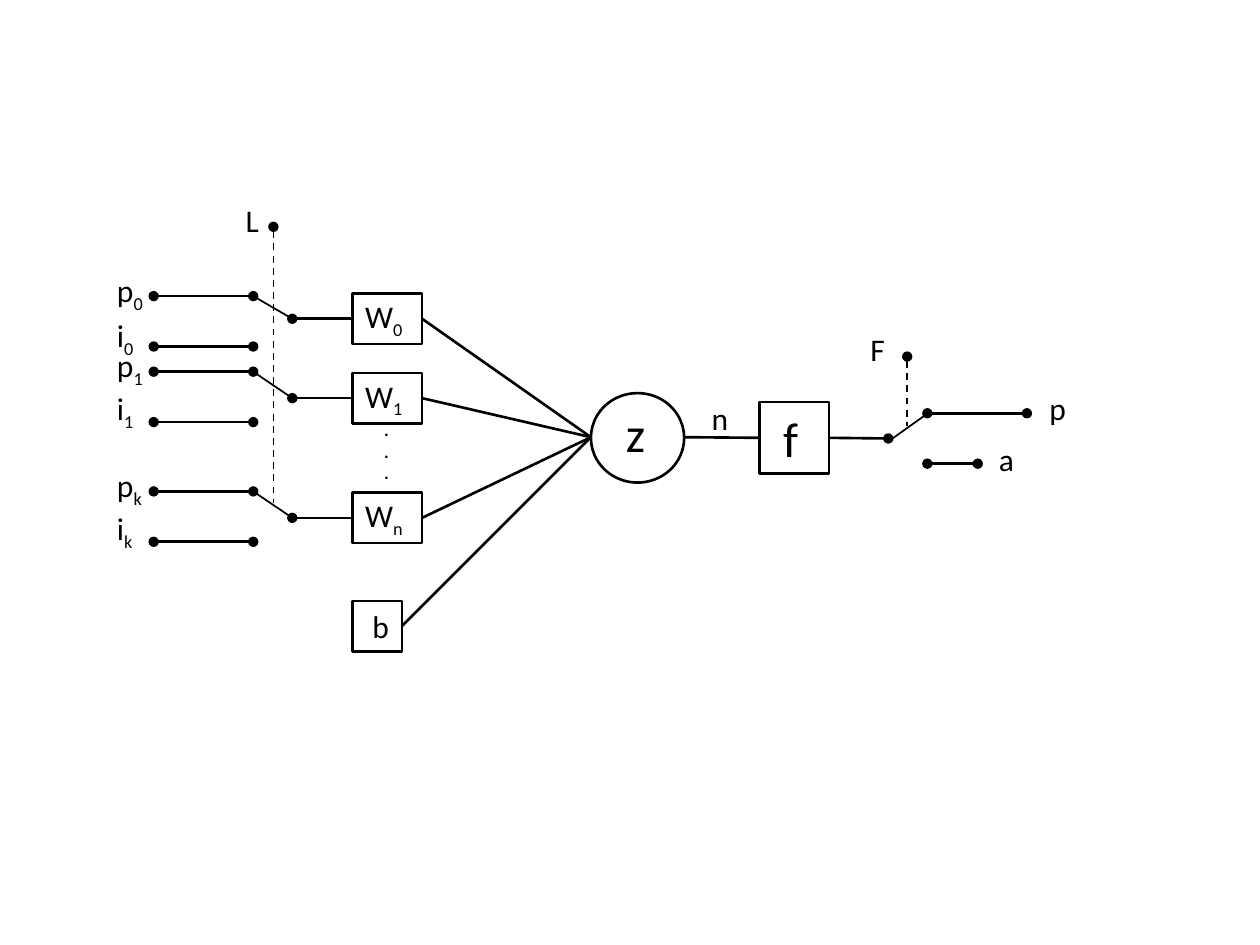
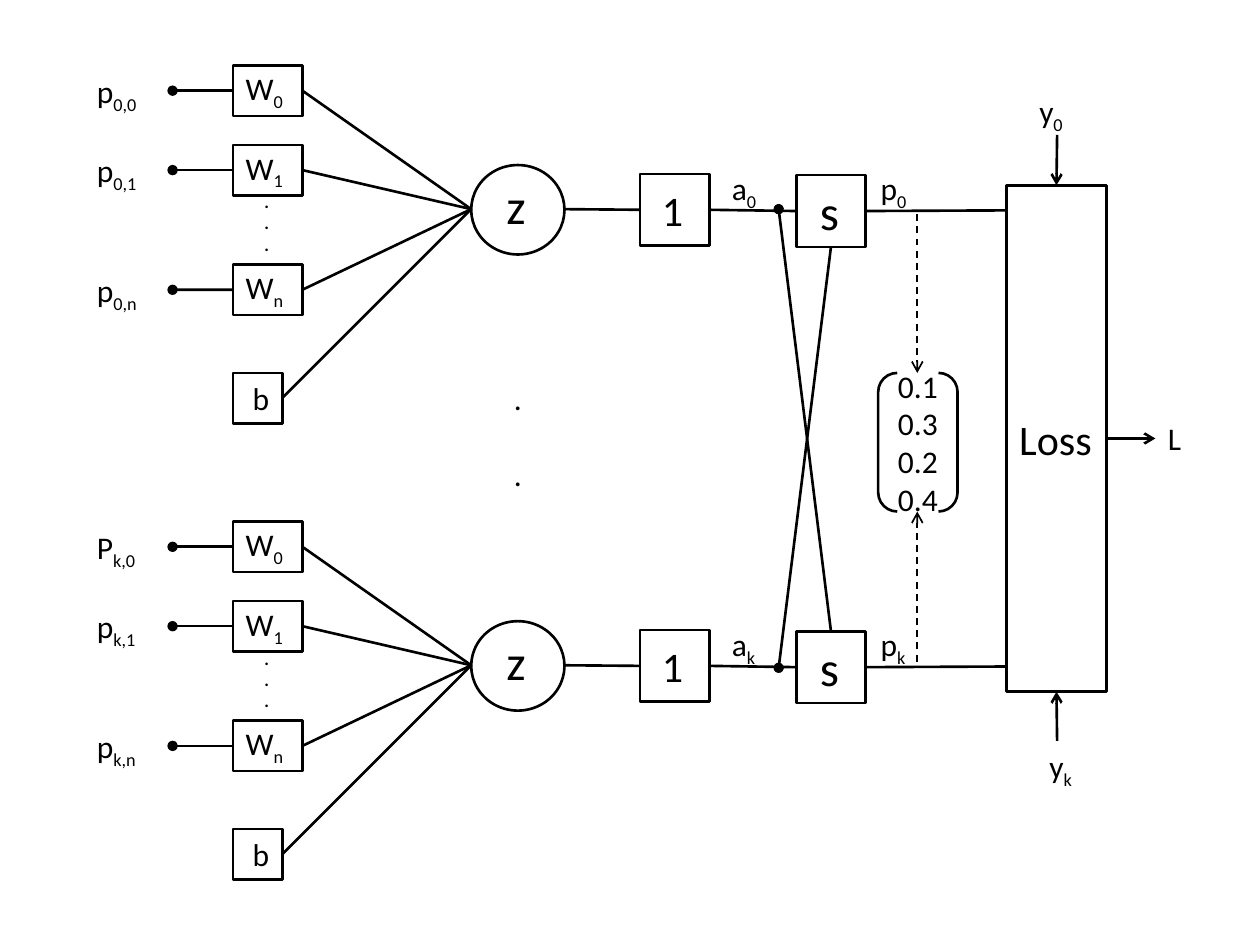
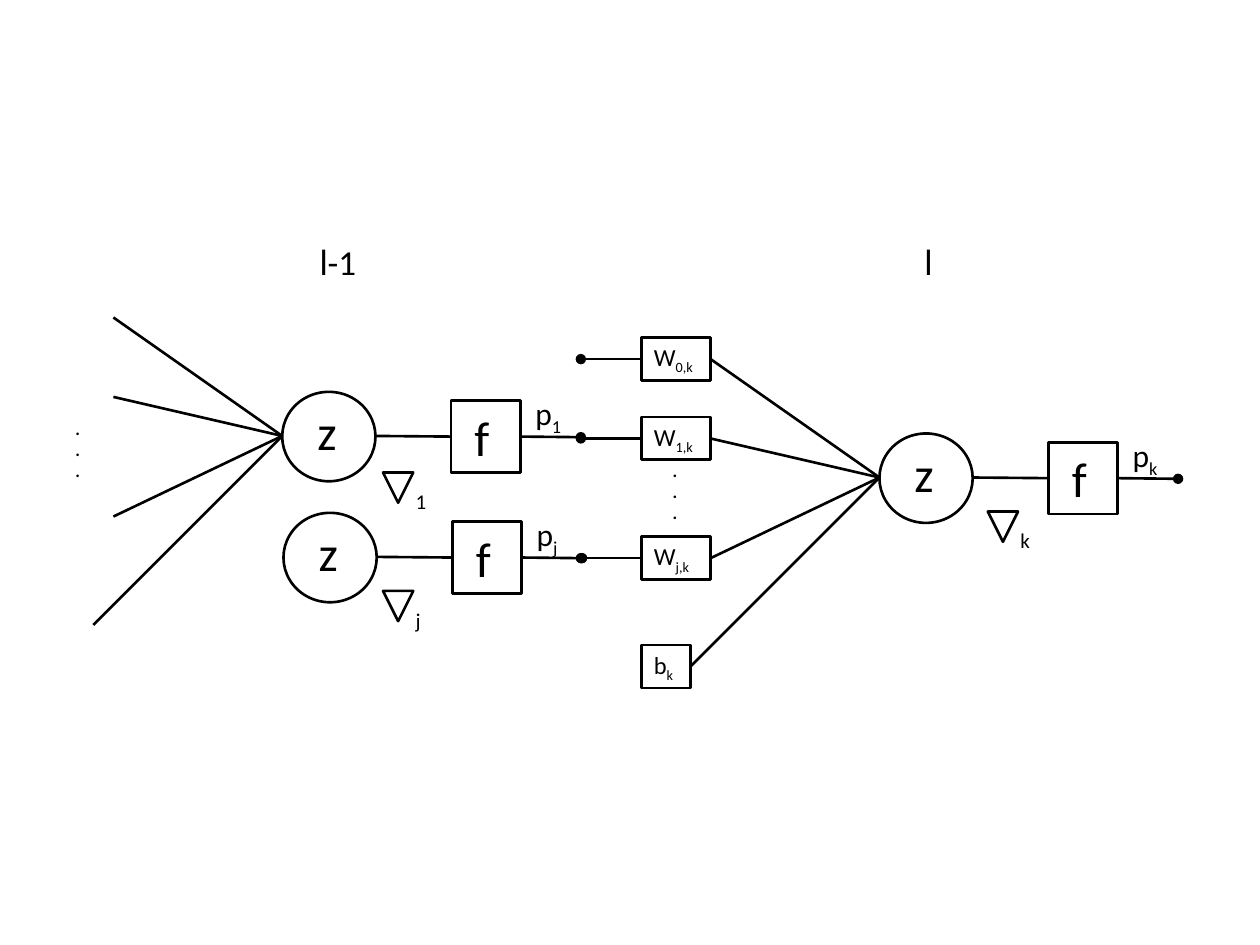
import pptx
import pptx.dml.color
import pptx.enum.dml
import pptx.enum.shapes
import pptx.enum.text
import pptx.oxml.ns
import pptx.shapes.autoshape
import pptx.slide
import pptx.util
import lxml.etree
from dataclasses import dataclass
from typing import Any, NamedTuple, Union

Inches = pptx.util.Inches
Slide = pptx.slide.Slide
Shape = pptx.shapes.autoshape.Shape
KIND = pptx.enum.shapes.MSO_SHAPE
ANCHOR = pptx.enum.text.MSO_ANCHOR

BLACK = pptx.dml.color.RGBColor(0x00, 0x00, 0x00)
FACE = "Calibri"
THIN, THICK = 1, 1.5
TOP, LEFT, BOTTOM, RIGHT = range(4)
BOX_W, BOX_H = 0.55, 0.57
# Label height for each text size
HIGH = {10: 0.61, 12: 0.3, 18: 0.4, 20: 0.44, 28: 0.57}
LABEL = {"word_wrap": False, "vertical_anchor": ANCHOR.TOP,
         "auto_size": pptx.enum.text.MSO_AUTO_SIZE.SHAPE_TO_FIT_TEXT}
INSIDE = {"word_wrap": True, "vertical_anchor": ANCHOR.MIDDLE}


class Point(NamedTuple):
    x: float
    y: float


class Joint(NamedTuple):
    shape: Shape
    side: int


End = Union[Point, Joint]


class Label(NamedTuple):
    text: str
    x: float
    y: float
    wide: float
    size: int = 18
    font: str = FACE


@dataclass
class Node:
    """A summing circle with its fan of inputs and the box after it."""
    x: float
    y: float
    act: str = " f"
    act_size: int = 28
    weights: tuple[str, ...] = ()
    bias: str = " b"
    size: int = 18
    box_h: float = 0.4
    fan: bool = True


def apply(target: Any, values: dict[str, Any]) -> None:
    for key, value in values.items():
        setattr(target, key, value)


# Text: an underscore starts a subscript, a line break a paragraph
def put(para: Any, text: str, size: float, font: str = FACE,
        bold: bool = False) -> None:
    for part, piece in enumerate(text.split("_")):
        run = para.add_run()
        run.text = piece
        apply(run.font, {"size": pptx.util.Pt(size), "name": font,
                         "bold": bold or None})
        run.font.color.rgb = BLACK
        if part:
            run._r.get_or_add_rPr().set("baseline", "-25000")


def write(frame: Any, text: str, size: float, style: dict[str, Any],
          font: str = FACE, bold: bool = False,
          align: Any = pptx.enum.text.PP_ALIGN.LEFT) -> None:
    apply(frame, style)
    for row, line in enumerate(text.split("\n")):
        para = frame.add_paragraph() if row else frame.paragraphs[0]
        para.alignment = align
        put(para, line, size, font, bold)


def tag(slide: Slide, item: Label, bold: bool = False) -> Any:
    area = slide.shapes.add_textbox(*map(Inches, (item.x, item.y, item.wide,
                                                  HIGH.get(item.size, 0.4))))
    write(area.text_frame, item.text, item.size, LABEL, item.font, bold)
    return area.text_frame


def dots(slide: Slide, x: float, y: float) -> None:
    tag(slide, Label(".\n.\n.", x, y, 0.24, 10), bold=True)


# Shapes and lines
def form(slide: Slide, kind: Any, x: float, y: float, w: float,
         h: float) -> Shape:
    shape = slide.shapes.add_shape(kind, *map(Inches, (x, y, w, h)))
    shape.shadow.inherit = False
    shape.fill.background()
    shape.line.color.rgb = BLACK
    shape.line.width = pptx.util.Pt(THICK)
    return shape


def box(slide: Slide, text: str, x: float, y: float, w: float = BOX_W,
        h: float = BOX_H, size: float = 28) -> Shape:
    shape = form(slide, KIND.RECTANGLE, x, y, w, h)
    write(shape.text_frame, text, size, INSIDE)
    return shape


def spot(end: End) -> tuple[int, int]:
    if isinstance(end, Point):
        return Inches(end.x), Inches(end.y)
    shape = end.shape
    mid_x, mid_y = shape.left + shape.width // 2, shape.top + shape.height // 2
    return {TOP: (mid_x, shape.top), LEFT: (shape.left, mid_y),
            BOTTOM: (mid_x, shape.top + shape.height),
            RIGHT: (shape.left + shape.width, mid_y)}[end.side]


def wire(slide: Slide, start: End, stop: End, head: str = "", tail: str = "",
         width: float = THICK, dash: bool = False) -> None:
    link = slide.shapes.add_connector(
        pptx.enum.shapes.MSO_CONNECTOR.STRAIGHT, *spot(start), *spot(stop))
    if isinstance(start, Joint):
        link.begin_connect(*start)
    if isinstance(stop, Joint):
        link.end_connect(*stop)
    link.line.color.rgb = BLACK
    link.line.width = pptx.util.Pt(width)
    if dash:
        link.line.dash_style = pptx.enum.dml.MSO_LINE.DASH
    qn = pptx.oxml.ns.qn
    props = link._element.spPr
    for name, kind in (("a:headEnd", head), ("a:tailEnd", tail)):
        if kind:
            lxml.etree.SubElement(props.find(qn("a:ln")), qn(name), type=kind)
    lxml.etree.SubElement(props, qn("a:effectLst"))


def draw(slide: Slide, node: Node) -> Shape:
    """Draw a node and return the box after its circle."""
    x, y = node.x, node.y
    hub = Point(x, y + 0.35)
    form(slide, KIND.OVAL, x, y, 0.74, 0.71)
    tag(slide, Label("z", x + 0.18, y + 0.03, 0.36, 28))
    act = box(slide, node.act, x + 1.34, y + 0.07, size=node.act_size)
    wire(slide, Point(x + 0.74, y + 0.35), Joint(act, LEFT))
    if not node.fan:
        return act
    dots(slide, x - 1.74, y + 0.16)
    rows = (-0.59, 0.04, 0.99, 1.85)
    if not node.weights:
        for row in rows:
            wire(slide, Point(x - (1.5 if row == rows[-1] else 1.34), y + row),
                 hub)
        return act
    for text, row in zip(node.weights + (node.bias,), rows):
        last = row == rows[-1]
        cell = box(slide, text, x - 1.89, y + row - node.box_h / 2,
                   0.39 if last else BOX_W, node.box_h, node.size)
        wire(slide, Joint(cell, RIGHT), hub)
        if not last:
            wire(slide, Point(x - 2.37, y + row), Joint(cell, LEFT), "oval")
    return act


def switch_slide(slide: Slide) -> None:
    node = Node(4.69, 3.12, weights=("W_0", "W_1", "W_n"))
    act = draw(slide, node)
    # Input switches
    for sign, y, low, arm in (("0", 2.35, 2.46, 2.53), ("1", 2.95, 3.04, 3.16),
                              ("k", 3.9, 3.99, 4.11)):
        for row in (y, y + 0.4):
            wire(slide, Point(1.22, row), Point(2.01, row), "oval", "oval")
        wire(slide, Point(2.01, y), Point(2.32, arm), width=THIN)
        tag(slide, Label("p_" + sign, 0.83, y - 0.25, 0.42))
        tag(slide, Label("i_" + sign, 0.83, low, 0.35))
    # Output switch
    wire(slide, Joint(act, RIGHT), Point(7.05, 3.48), tail="oval")
    for y, stop in ((3.28, 8.15), (3.68, 7.76)):
        wire(slide, Point(7.36, y), Point(stop, y), "oval", "oval")
    wire(slide, Point(7.07, 3.49), Point(7.35, 3.29), width=THIN)
    # Control lines
    for x, y, stop in ((2.17, 1.8, 3.99), (7.2, 2.83, 3.38)):
        wire(slide, Point(x, y), Point(x, stop), "oval", width=THIN, dash=True)
    for item in (Label("a", 7.83, 3.44, 0.32), Label("p", 8.23, 3.04, 0.34),
                 Label("n", 5.55, 3.12, 0.34), Label("L", 1.85, 1.55, 0.31),
                 Label("F", 6.81, 2.57, 0.32)):
        tag(slide, item)


def loss_slide(slide: Slide) -> None:
    loss = box(slide, "Loss", 7.99, 1.47, 0.79, 4.02, 24)
    soft = []
    # One row for each class
    for y, sign, first in ((1.31, "0", "p"), (4.93, "k", "P")):
        act = draw(slide, Node(3.74, y, " 1", 24, ("W_0", "W_1", "W_n")))
        cell = box(slide, " s", 6.32, y + 0.08)
        wire(slide, Joint(act, RIGHT), Joint(cell, LEFT))
        wire(slide, Joint(cell, RIGHT), Point(7.99, y + 0.36))
        for head, tail, gap in ((first, "0", -0.79), ("p", "1", -0.16),
                                ("p", "n", 0.79)):
            tag(slide, Label(f"{head}_{sign},{tail}", 0.67, y + gap, 0.55))
        tag(slide, Label("a_" + sign, 5.71, y - 0.02, 0.41))
        tag(slide, Label("p_" + sign, 6.89, y - 0.02, 0.42))
        soft.append(cell)
    # Cross links
    wire(slide, Joint(soft[0], BOTTOM), Point(6.18, 5.3), tail="oval")
    wire(slide, Joint(soft[1], TOP), Point(6.18, 1.66), tail="oval")
    # Vector of results
    brace = form(slide, KIND.DOUBLE_BRACKET, 6.97, 2.96, 0.63, 1.1)
    brace.adjustments[0] = 0.24
    write(brace.text_frame, "0.1\n0.3\n0.2\n0.4", 18, INSIDE,
          align=pptx.enum.text.PP_ALIGN.CENTER)
    for y, stop in ((1.7, 2.96), (5.25, 4.06)):
        wire(slide, Point(7.28, y), Point(7.28, stop), tail="arrow",
             width=THIN, dash=True)
    # Targets and loss
    for y, side in ((1.07, TOP), (5.88, BOTTOM)):
        wire(slide, Point(8.39, y), Joint(loss, side), tail="arrow")
    wire(slide, Joint(loss, RIGHT), Point(9.17, 3.48), tail="arrow")
    for item in (Label("y_0", 8.15, 0.68, 0.4), Label("y_k", 8.23, 5.88, 0.39),
                 Label("L", 9.17, 3.28, 0.31)):
        tag(slide, item)
    gap = tag(slide, Label(".\n.", 3.98, 2.96, 0.27))
    gap.paragraphs[1].space_before = pptx.util.Pt(22)


def layer_slide(slide: Slide) -> None:
    # Nodes with their outputs
    for node, sign, wide in (
            (Node(6.98, 3.44, weights=("W_0,k", "W_1,k", "W_j,k"), bias="b_k",
                  size=14, box_h=0.34), "k", 0.41),
            (Node(2.24, 3.11), "1", 0.42),
            (Node(2.25, 4.07, fan=False), "j", 0.38)):
        act = draw(slide, node)
        wire(slide, Joint(act, RIGHT), Point(node.x + 2.37, node.y + 0.36),
             tail="oval")
        tag(slide, Label("p_" + sign, node.x + 1.91, node.y - 0.03, wide))
    # Gradients
    for x, y, sign, wide in ((7.84, 4.06, "k", 0.28), (3.04, 3.75, "1", 0.29),
                             (3.04, 4.69, "j", 0.24)):
        form(slide, KIND.ISOSCELES_TRIANGLE, x, y, 0.24, 0.24).rotation = 180
        tag(slide, Label(sign, x + 0.16, y + 0.08, wide, 12))
    # Layer names
    tag(slide, Label("l", 7.24, 1.86, 0.28, 20, "Arial"))
    name = tag(slide, Label("l", 2.44, 1.86, 0.51, 20, "Arial"))
    put(name.paragraphs[0], "-1", 20)


def main() -> None:
    deck = pptx.Presentation()
    apply(deck, {"slide_width": Inches(10), "slide_height": Inches(7.5)})
    for build in (switch_slide, loss_slide, layer_slide):
        build(deck.slides.add_slide(deck.slide_layouts[6]))
    deck.save("out.pptx")


if __name__ == "__main__":
    main()
